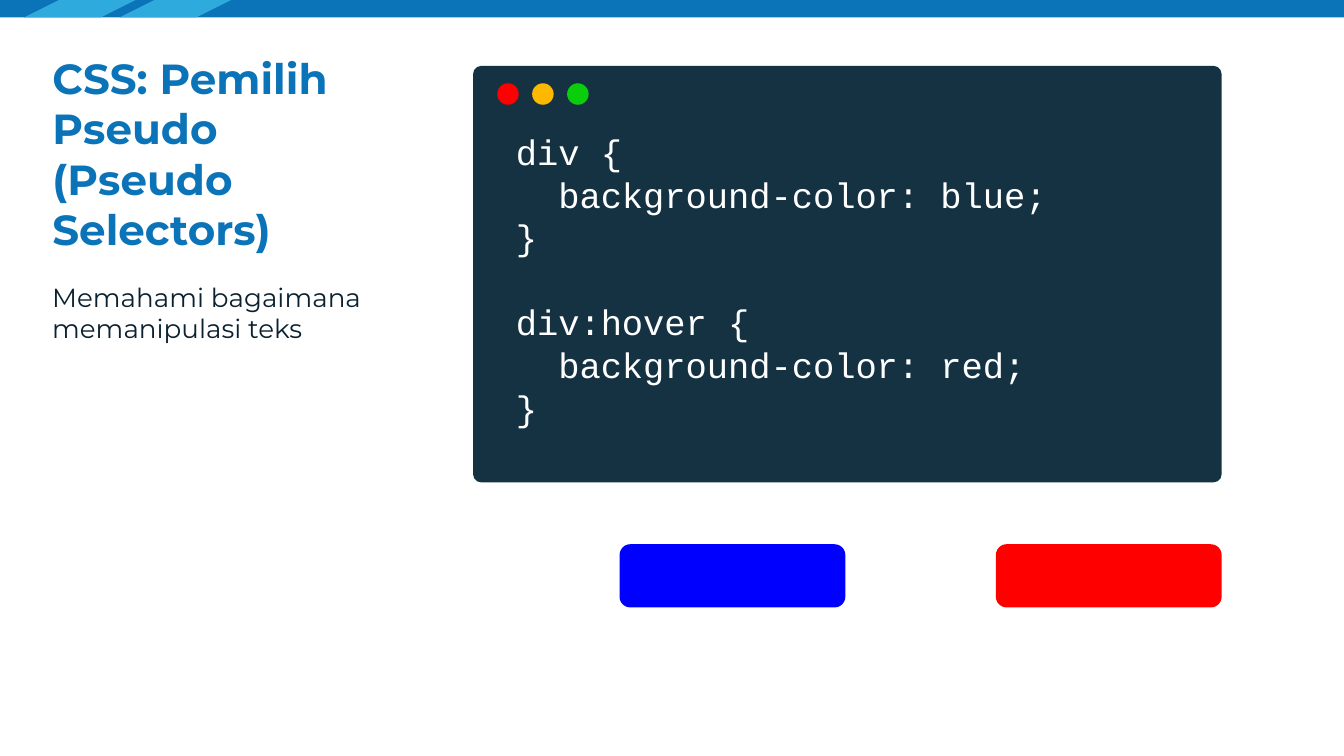
from pptx import Presentation
from pptx import util as u
from pptx.dml import color
from pptx.enum import shapes, text

HEADING_FONT = "Montserrat"
CODE_FONT = "Courier New"
BLUE, LIGHT_BLUE, INK = "0B73B7", "2FAADD", "0B2130"
NAVY, WHITE = "153243", "FFFFFF"

HOVER_RULES = [
    ["div {", "  background-color: blue;", "}"],
    ["div:hover {", "  background-color: red;", "}"],
]


def rgb(hex_string):
    return color.RGBColor.from_string(hex_string)


def write(paragraph, words, *, size, font, ink, bold=False, before=0):
    paragraph.alignment = text.PP_ALIGN.LEFT
    paragraph.line_spacing = 1.0
    paragraph.space_before = u.Pt(before)
    run = paragraph.add_run()
    run.text = words
    run.font.size = u.Pt(size)
    run.font.name = font
    run.font.bold = bold
    run.font.color.rgb = rgb(ink)


class LessonSlide:
    def __init__(self, prs):
        self.slide = prs.slides.add_slide(prs.slide_layouts[5])

    def shape(self, kind, box, fill, adjust=None):
        item = self.slide.shapes.add_shape(kind, *map(u.Inches, box))
        item.shadow.inherit = False
        item.fill.solid()
        item.fill.fore_color.rgb = rgb(fill)
        item.line.fill.background()
        if adjust is not None:
            item.adjustments[0] = adjust

    def frame(self, holder, anchor):
        frame = holder.text_frame
        frame.word_wrap = True
        frame.auto_size = text.MSO_AUTO_SIZE.NONE
        frame.vertical_anchor = anchor
        frame.margin_left = frame.margin_right = u.Inches(0.1)
        frame.margin_top = frame.margin_bottom = u.Inches(0.1)
        return frame

    def title(self, box, words):
        holder = self.slide.shapes.title
        holder.left, holder.top, holder.width, holder.height = map(u.Inches, box)
        frame = self.frame(holder, text.MSO_ANCHOR.BOTTOM)
        write(frame.paragraphs[0], words, size=22.5, font=HEADING_FONT,
              ink=BLUE, bold=True)

    def text_box(self, box):
        holder = self.slide.shapes.add_textbox(*map(u.Inches, box))
        return self.frame(holder, text.MSO_ANCHOR.TOP)

    def subtitle(self, box, words):
        write(self.text_box(box).paragraphs[0], words, size=14,
              font=HEADING_FONT, ink=INK)

    def code(self, box, rules):
        frame = self.text_box(box)
        for rule_index, rule in enumerate(rules):
            for line_index, line in enumerate(rule):
                first = rule_index == line_index == 0
                paragraph = frame.paragraphs[0] if first else frame.add_paragraph()
                # One line of space separates the rules
                gap = 22.8 if rule_index and line_index == 0 else 0
                write(paragraph, line, size=19, font=CODE_FONT, ink=WHITE,
                      before=gap)


def main():
    prs = Presentation()
    prs.slide_width = u.Inches(10)
    prs.slide_height = prs.slide_width * 9 // 16
    lesson = LessonSlide(prs)
    kinds = shapes.MSO_SHAPE

    # Top band with slanted accents
    lesson.shape(kinds.RECTANGLE, (0, 0, 10, 0.13), BLUE)
    for accent_left in (0.18, 0.89):
        lesson.shape(kinds.PARALLELOGRAM, (accent_left, 0, 0.83, 0.13),
                     LIGHT_BLUE, 2)

    # Heading
    lesson.title((0.29, 0.54, 2.76, 1.45), "CSS: Pemilih Pseudo (Pseudo Selectors)")
    lesson.subtitle((0.29, 1.99, 2.76, 1.35), "Memahami bagaimana memanipulasi teks")

    # Code window with its three buttons
    lesson.shape(kinds.ROUNDED_RECTANGLE, (3.52, 0.49, 5.57, 3.1), NAVY, 0.02)
    for index, button_fill in enumerate(("FF0000", "FEB800", "0BCE0B")):
        lesson.shape(kinds.OVAL, (3.7 + 0.26 * index, 0.62, 0.16, 0.16), button_fill)
    lesson.code((3.74, 0.87, 5.19, 2.44), HOVER_RULES)

    # The div before and during hover
    for state_left, state_fill in ((4.61, "0000FF"), (7.41, "FF0000")):
        lesson.shape(kinds.ROUNDED_RECTANGLE, (state_left, 4.05, 1.68, 0.47),
                     state_fill, 0.17)

    prs.save("out.pptx")


if __name__ == "__main__":
    main()
